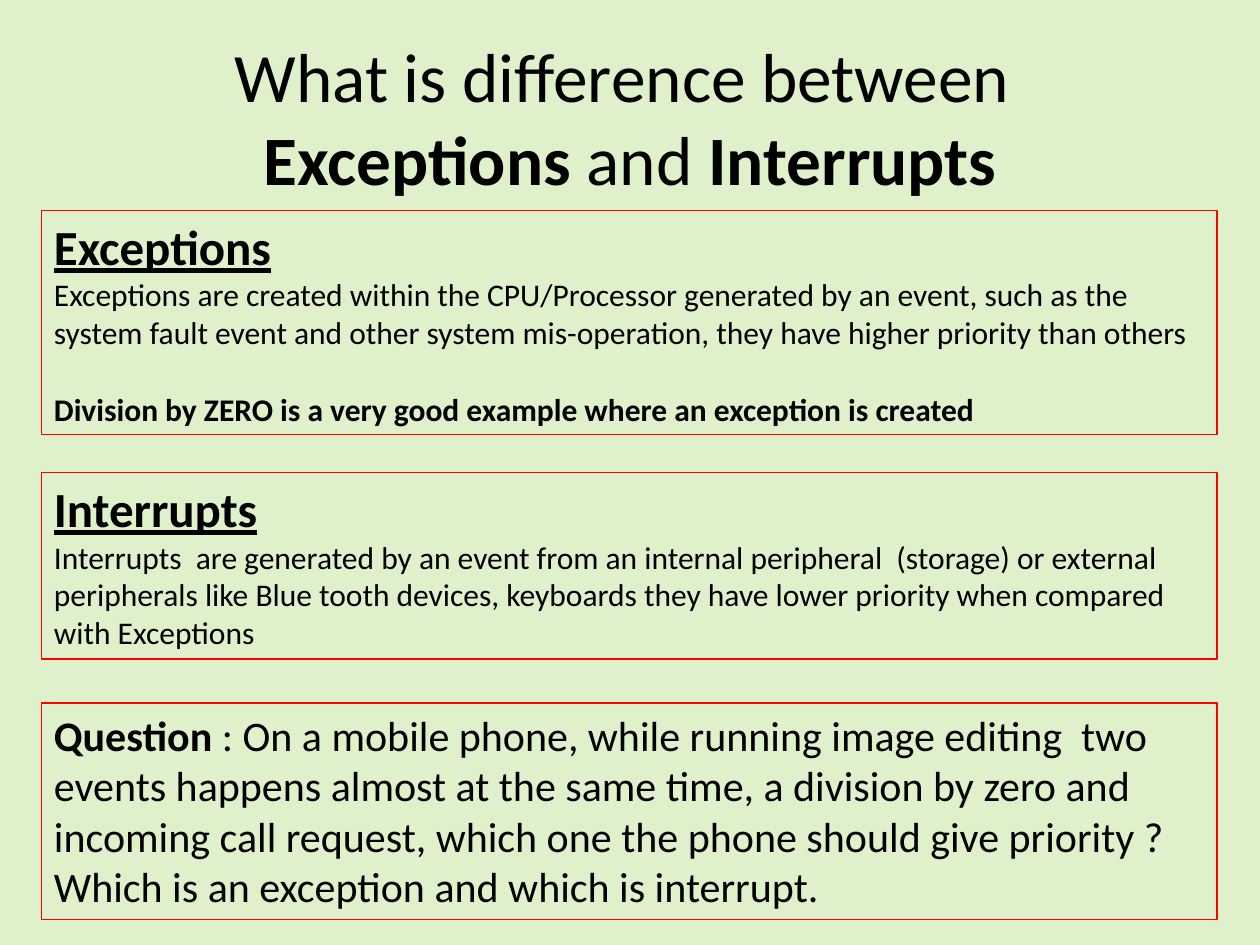
from dataclasses import dataclass

from pptx import Presentation
from pptx import util as u
from pptx.dml.color import RGBColor
from pptx.enum import text


@dataclass(frozen=True)
class Theme:
    font: str = "Calibri"
    ink: RGBColor = RGBColor(0, 0, 0)
    border: RGBColor = RGBColor(0xFF, 0, 0)
    background: RGBColor = RGBColor(0xDE, 0xF1, 0xCB)
    title_size: float = 39.6
    heading_size: float = 28
    question_size: float = 24
    body_size: float = 18
    border_width: float = 0.75


class SlideBuilder:
    def __init__(self, slide, theme):
        self.slide = slide
        self.theme = theme
        fill = slide.background.fill
        fill.solid()
        fill.fore_color.rgb = theme.background

    def add_runs(self, paragraph, runs, size, underline=False):
        """Fill a paragraph from (wording, bold) pairs."""
        for wording, bold in runs:
            run = paragraph.add_run()
            run.text = wording
            font = run.font
            font.name = self.theme.font
            font.size = u.Pt(size)
            font.color.rgb = self.theme.ink
            font.bold = bold
            font.underline = underline

    def title(self, runs):
        title = self.slide.shapes.title
        title.left, title.top = u.Inches(0.5), u.Inches(0.3)
        title.width, title.height = u.Inches(9), u.Inches(1.25)
        frame = title.text_frame
        frame.auto_size = text.MSO_AUTO_SIZE.NONE
        frame.vertical_anchor = text.MSO_ANCHOR.MIDDLE
        frame.paragraphs[0].alignment = text.PP_ALIGN.CENTER
        self.add_runs(frame.paragraphs[0], runs, self.theme.title_size)

    def panel(self, top, height):
        """Add a full-width outlined text box and return its text frame."""
        box = self.slide.shapes.add_textbox(
            u.Inches(0.33), u.Inches(top), u.Inches(9.33), u.Inches(height))
        box.line.color.rgb = self.theme.border
        box.line.width = u.Pt(self.theme.border_width)
        frame = box.text_frame
        frame.word_wrap = True
        frame.auto_size = text.MSO_AUTO_SIZE.SHAPE_TO_FIT_TEXT
        return frame

    def definition(self, top, height, term, meaning, example=None):
        frame = self.panel(top, height)
        self.add_runs(frame.paragraphs[0], [(term, True)],
                      self.theme.heading_size, underline=True)
        self.add_runs(frame.add_paragraph(), [(meaning, False)],
                      self.theme.body_size)
        if example:
            paragraph = frame.add_paragraph()
            paragraph.space_before = u.Pt(22)
            self.add_runs(paragraph, [(example, True)], self.theme.body_size)

    def question(self, top, height, runs):
        frame = self.panel(top, height)
        self.add_runs(frame.paragraphs[0], runs, self.theme.question_size)


def main():
    deck = Presentation()
    deck.slide_width, deck.slide_height = u.Inches(10), u.Inches(7.5)
    title_only = deck.slide_layouts[5]
    builder = SlideBuilder(deck.slides.add_slide(title_only), Theme())

    builder.title([("What is difference between  ", False),
                   ("Exceptions", True),
                   (" and ", False),
                   ("Interrupts", True)])
    builder.definition(
        1.67, 1.78, "Exceptions",
        "Exceptions are created within the CPU/Processor generated by an "
        "event, such as the system fault event and other system "
        "mis-operation, they have higher priority than others",
        "Division by ZERO is a very good example where an exception is "
        "created")
    builder.definition(
        3.75, 1.48, "Interrupts",
        "Interrupts  are generated by an event from an internal peripheral  "
        "(storage) or external peripherals like Blue tooth devices, "
        "keyboards they have lower priority when compared with Exceptions")
    builder.question(5.58, 1.72, [
        ("Question", True),
        (" : On a mobile phone, while running image editing  two events "
         "happens almost at the same time, a division by zero and incoming "
         "call request, which one the phone should give priority ? Which is "
         "an exception and which is interrupt.", False)])

    deck.save("out.pptx")


if __name__ == "__main__":
    main()
